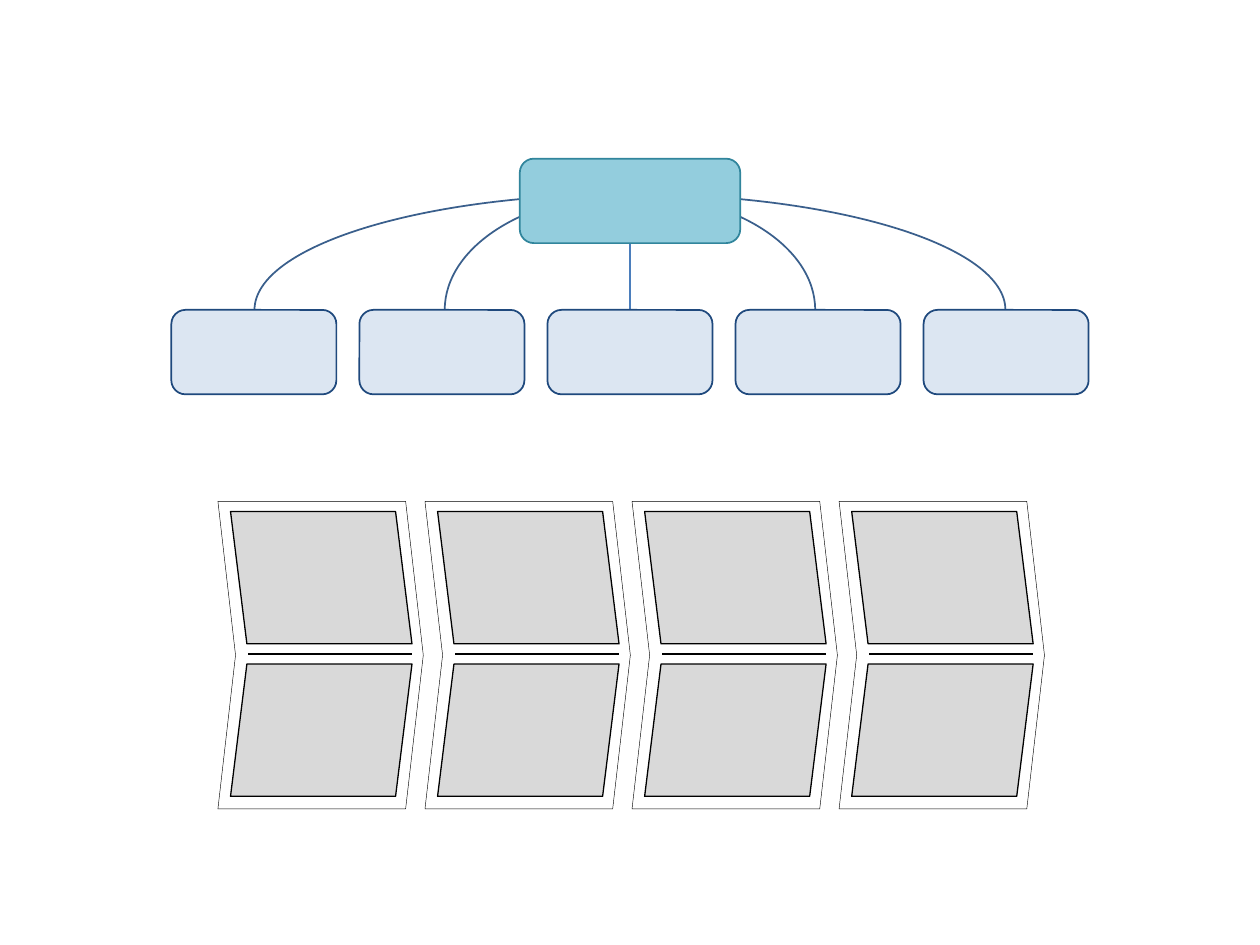
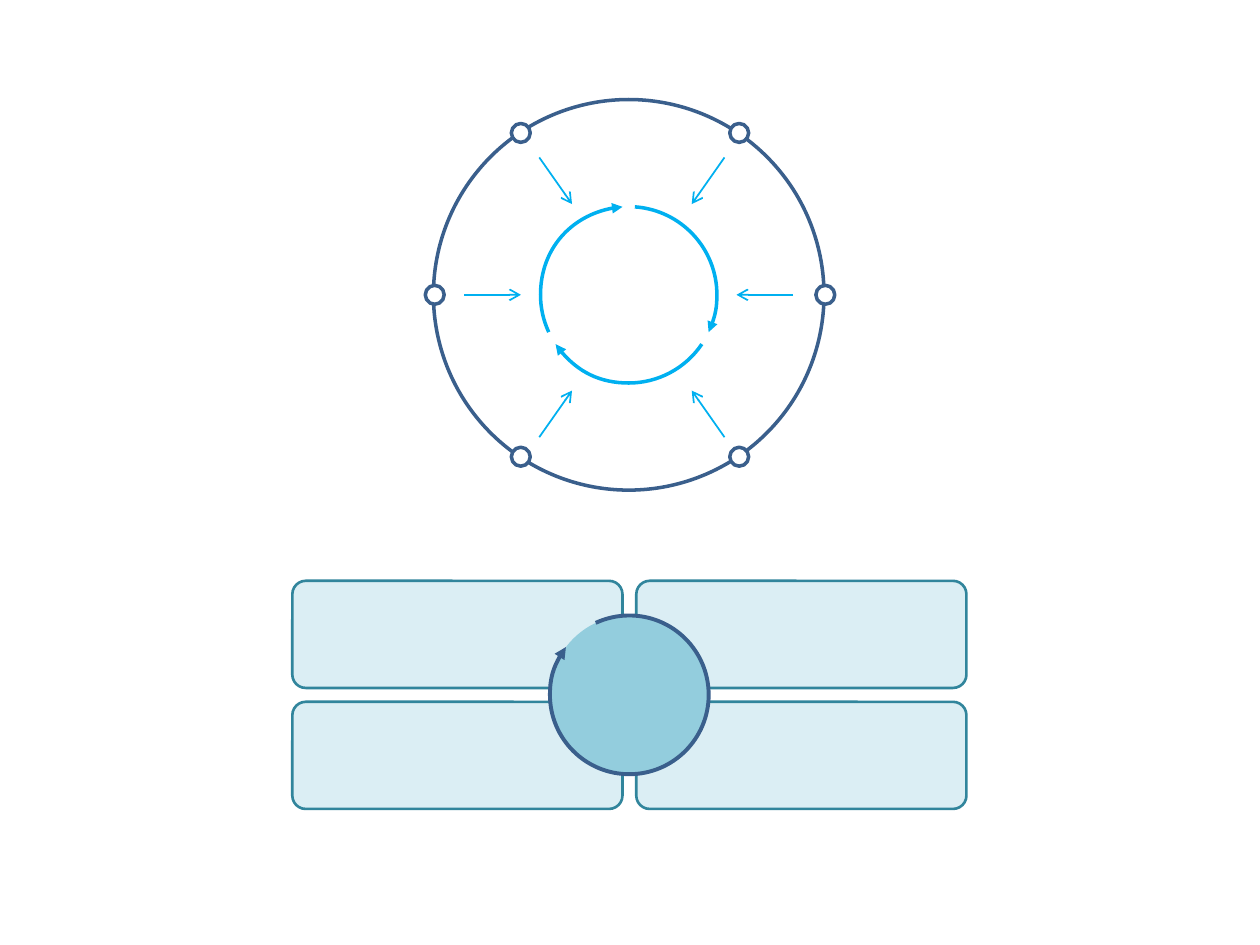
from math import ceil, cos, floor, radians, sin, tan

from pptx import Presentation
from pptx.dml.color import RGBColor as RGB
from pptx.enum.shapes import MSO_CONNECTOR as LINK, MSO_SHAPE as SHAPE
from pptx.oxml.ns import qn
from pptx.util import Inches, Pt
from lxml.etree import SubElement

COLORS = {
    "navy": "1F497D", "steel": "3A5F8C", "blue": "4B7EBC", "pale": "DCE6F2",
    "teal": "31859C", "aqua": "93CDDD", "mist": "DBEEF4", "sky": "00B0F0",
    "gray": "D9D9D9", "black": "000000", "white": "FFFFFF",
}


# Shared drawing helpers
def color(name):
    return RGB.from_string(COLORS[name])


def stroke(item, name, width, tip=None):
    item.line.color.rgb = color(name)
    item.line.width = Pt(width)
    if tip:
        edge = item.line._get_or_add_ln()
        SubElement(edge, qn("a:tailEnd"), type=tip)


def paint(item, fill, line, width, tip=None):
    item.shadow.inherit = False
    if fill:
        item.fill.solid()
        item.fill.fore_color.rgb = color(fill)
    else:
        item.fill.background()
    if line:
        stroke(item, line, width, tip)
    else:
        item.line.fill.background()


def shape(parts, kind, x, y, w, h, fill, line=None, width=1):
    item = parts.add_shape(kind, Inches(x), Inches(y), Inches(w), Inches(h))
    paint(item, fill, line, width)
    return item


def disc(parts, cx, cy, r, fill, line=None, width=1):
    return shape(parts, SHAPE.OVAL, cx - r, cy - r, 2 * r, 2 * r,
                 fill, line, width)


def link(parts, x1, y1, x2, y2, line, width=1, tip=None):
    item = parts.add_connector(LINK.STRAIGHT, Inches(x1), Inches(y1),
                               Inches(x2), Inches(y2))
    stroke(item, line, width, tip)
    SubElement(item._element.spPr, qn("a:effectLst"))


def outline(parts, points, fill, line, width, tip=None, close=True):
    spots = [(Inches(x), Inches(y)) for x, y in points]
    pen = parts.build_freeform(*spots[0])
    pen.add_line_segments(spots[1:], close=close)
    item = pen.convert_to_shape()
    paint(item, fill, line, width, tip)
    return item


def bend(item):
    """Turn each three straight segments into one cubic curve."""
    track = next(item._element.iter(qn("a:path")))
    lines = track.findall(qn("a:lnTo"))
    for i in range(0, len(lines), 3):
        curve = SubElement(track, qn("a:cubicBezTo"))
        for line in lines[i:i + 3]:
            curve.append(line[0])
            track.remove(line)


def arc(parts, cx, cy, rx, ry, start, end, line, width, tip=None):
    """Draw an open arc clockwise; angles in degrees from the right."""
    turns = range(floor(start / 90) + 1, ceil(end / 90))
    cuts = [radians(t) for t in (start, *(90 * n for n in turns), end)]
    points = [(cos(cuts[0]), sin(cuts[0]))]
    for a, b in zip(cuts, cuts[1:]):
        k = 4 / 3 * tan((b - a) / 4)
        points += [(cos(a) - k * sin(a), sin(a) + k * cos(a)),
                   (cos(b) + k * sin(b), sin(b) - k * cos(b)),
                   (cos(b), sin(b))]
    spots = [(cx + rx * u, cy + ry * v) for u, v in points]
    bend(outline(parts, spots, None, line, width, tip, close=False))


def group(slide):
    return slide.shapes.add_group_shape().shapes


# Tree: one root above a row of five boxes
def tree(slide, x, y, w):
    parts = group(slide)
    count, box, high, root = 5, 1.31, 0.67, 1.75
    mid, row, rise = x + w / 2, y + 1.2, 0.92
    for reach in (1.47, 2.98):
        arc(parts, mid, row, reach, rise, 180, 360, "steel", 1)
    link(parts, mid, row - rise, mid, row, "blue")
    step = (w - box) / (count - 1)
    for i in range(count):
        shape(parts, SHAPE.ROUNDED_RECTANGLE, x + i * step, row, box, high,
              "pale", "navy")
    shape(parts, SHAPE.ROUNDED_RECTANGLE, mid - root / 2, y, root, high,
          "aqua", "teal")


# Chevron: two slanted panes split by a rule
def chevron(slide, x, y, w, h):
    parts = group(slide)
    nose, half = 0.14, h / 2
    rim = [(0, 0), (w - nose, 0), (w, half), (w - nose, h), (0, h),
           (nose, half)]
    outline(parts, [(x + a, y + b) for a, b in rim], "white", "black", 0.25)
    left, wide, lean = x + 0.1, 1.31, 0.13
    for outer, inner in ((0.08, 1.13), (h - 0.1, 1.29)):
        pane = [(left, y + outer), (left + lean, y + inner),
                (left + lean + wide, y + inner), (left + wide, y + outer)]
        outline(parts, pane, "gray", "black", 0.75)
    link(parts, x + 0.24, y + 1.21, x + 1.54, y + 1.21, "black")


def chain(slide, x, y, w, h):
    count, wide = 4, 1.63
    step = (w - wide) / (count - 1)
    for i in range(count):
        chevron(slide, x + i * step, y, wide, h)


# Wheel: turning core, outer ring with dots, arrows inward
def wheel(slide, x, y, size):
    parts = group(slide)
    r = size / 2
    cx, cy = x + r, y + r
    for start, end in ((155, 266), (274, 385), (34, 146)):
        arc(parts, cx, cy, 0.7, 0.7, start, end, "sky", 2, "triangle")
    disc(parts, cx, cy, r, None, "steel", 2)
    for turn in (0, 180, 236, 304, 124, 56):
        a = radians(turn)
        disc(parts, cx + 0.01 + r * cos(a), cy + r * sin(a), 0.075,
             "white", "steel", 2)
    mx, my = cx + 0.025, cy + 0.02
    for up in (-1, 1):
        for side in (-1, 1):
            link(parts, mx + side * 0.735, my + up * 1.11,
                 mx + side * 0.475, my + up * 0.74, "sky", 1, "arrow")
    for side in (-1, 1):
        link(parts, cx + side * 1.305, cy, cx + side * 0.855, cy,
             "sky", 1, "arrow")


# Hub: four cards around a turning disc
def hub(slide, x, y, w, h):
    parts = slide.shapes
    wide, high = 2.62, 0.85
    right, low = x + w - wide, y + h - high
    for left, top in ((right, y), (x, low), (right, low), (x, y)):
        card = shape(parts, SHAPE.ROUNDED_RECTANGLE, left, top, wide, high,
                     "mist", "teal", 1.5)
        card.adjustments[0] = 0.125
    cx, cy, r = x + w / 2, y + h / 2, 0.63
    disc(parts, cx, cy, r, "aqua")
    arc(parts, cx, cy, r, r, 245, 577, "steel", 2.25, "triangle")


def main():
    deck = Presentation()
    deck.slide_width, deck.slide_height = Inches(10), Inches(7.5)
    blank = deck.slide_layouts[6]

    first = deck.slides.add_slide(blank)
    tree(first, 1.36, 1.26, 7.28)
    chain(first, 1.73, 3.98, 6.56, 2.44)

    second = deck.slides.add_slide(blank)
    wheel(second, 3.44, 0.79, 3.1)
    hub(second, 2.32, 4.61, 5.35, 1.81)

    deck.save("out.pptx")


if __name__ == "__main__":
    main()
